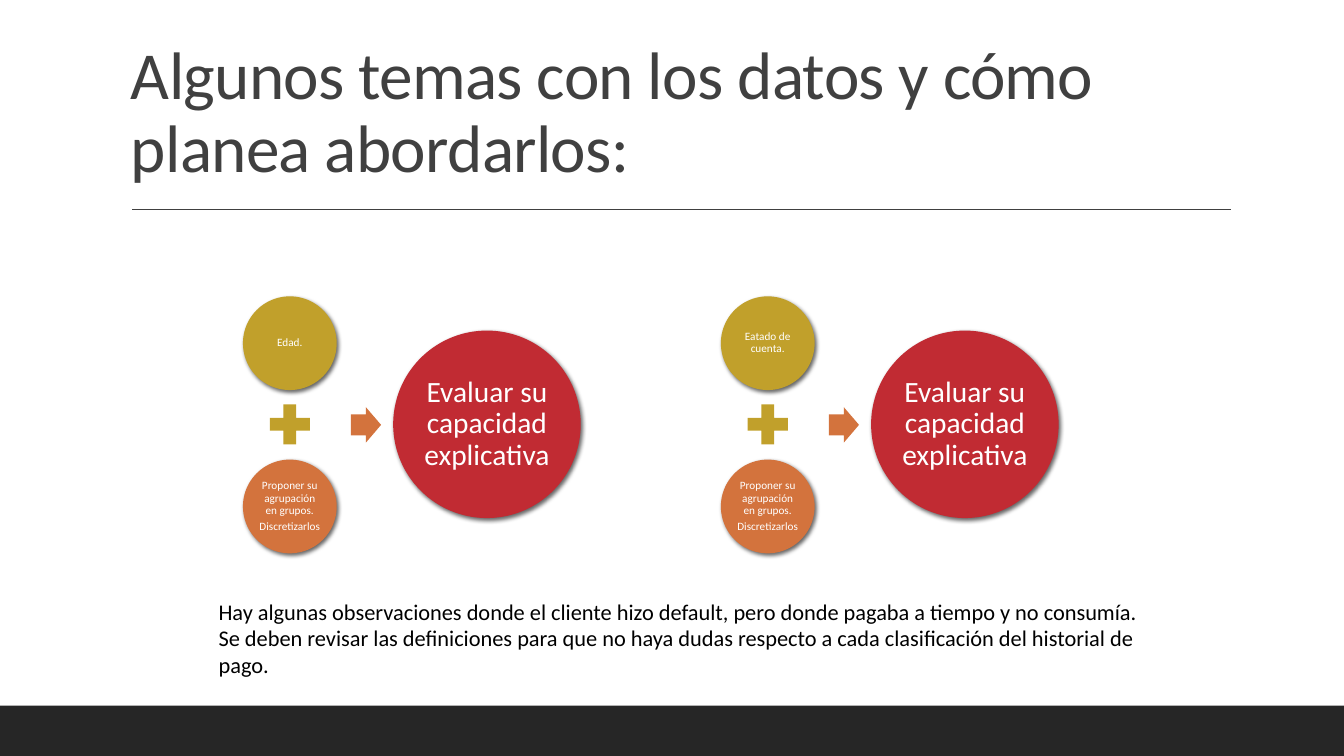
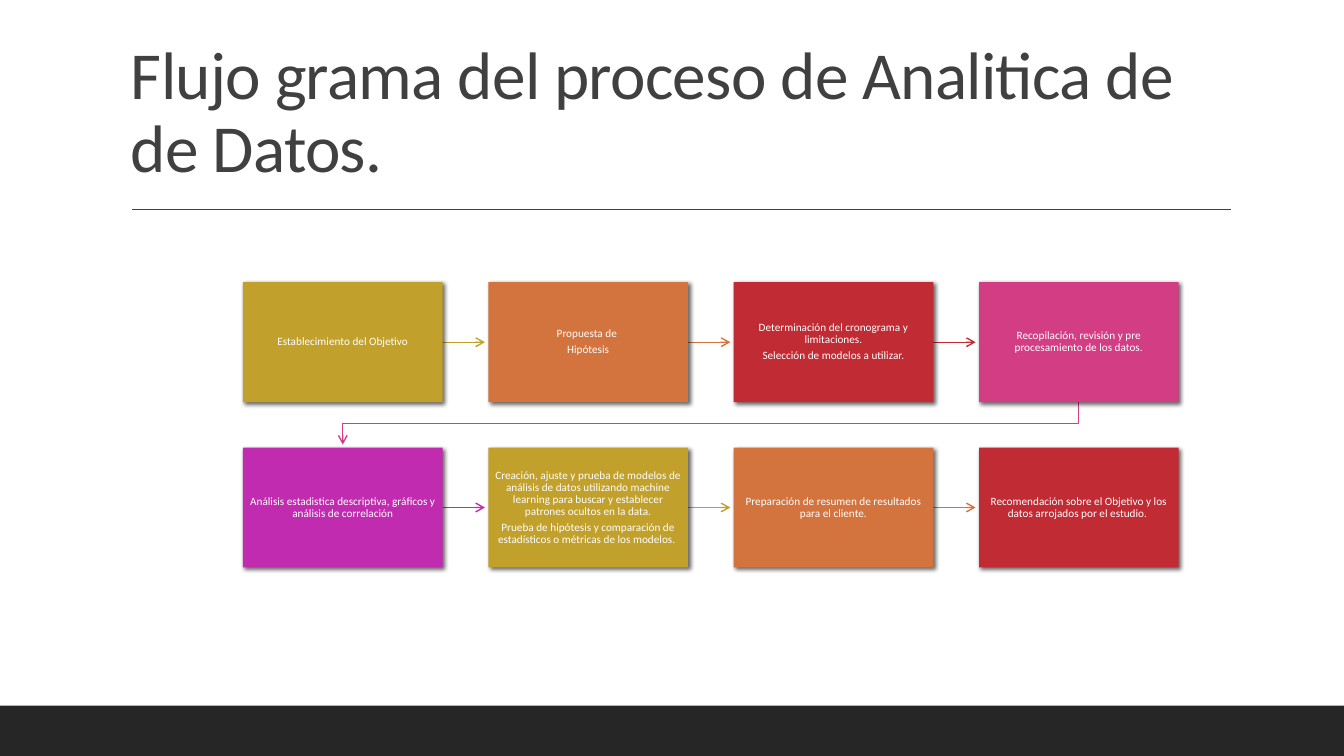
"""Build two slides: data topics and the analytics flow chart."""
import pptx
import pptx.util
import pptx.dml.color
import pptx.enum.shapes
import pptx.enum.text
import pptx.oxml.ns
import lxml.etree

HUES = {"gold": "C1A02B", "clay": "D3733D", "red": "C12B33", "pink": "D33D84",
        "plum": "C12BB0", "band": "262626", "gray": "404040", "white": "FFFFFF",
        "black": "000000"}
TITLES = ["Algunos temas con los datos y cómo planea abordarlos:",
          "Flujo grama del proceso de Analitica de de Datos. "]
TOPICS = ["Edad.", "Eatado de cuenta."]
GROUP = ["Proponer su agrupación en grupos.", "Discretizarlos"]
GOAL = ["Evaluar su capacidad explicativa"]
NOTES = ["Hay algunas observaciones donde el cliente hizo default, pero donde pagaba "
         "a tiempo y no consumía. ",
         "Se deben revisar las definiciones para que no haya dudas respecto a cada "
         "clasificación del historial de pago."]
STEPS = [
    ("gold", ["Establecimiento del Objetivo"]),
    ("clay", ["Propuesta de ", "Hipótesis"]),
    ("red", ["Determinación del cronograma y limitaciones.",
             "Selección de modelos a utilizar."]),
    ("pink", ["Recopilación, revisión y pre procesamiento de los datos."]),
    ("plum", ["Análisis estadistica descriptiva, gráficos y análisis de correlación"]),
    ("gold", ["Creación, ajuste y prueba de modelos de análisis de datos utilizando "
              "machine learning para buscar y establecer patrones ocultos en la data.",
              "Prueba de hipótesis y comparación de estadísticos o métricas de los "
              "modelos. "]),
    ("clay", ["Preparación de resumen de resultados para el cliente."]),
    ("red", ["Recomendación sobre el Objetivo y los datos arrojados por el estudio. "]),
]

Inches, Pt = pptx.util.Inches, pptx.util.Pt
KIND = pptx.enum.shapes.MSO_SHAPE
STRAIGHT = pptx.enum.shapes.MSO_CONNECTOR.STRAIGHT
ANCHOR, ALIGN = pptx.enum.text.MSO_ANCHOR, pptx.enum.text.PP_ALIGN
WIDE, HIGH = 13.33, 7.5
LABEL = {"alignment": ALIGN.CENTER, "line_spacing": 0.9}


def color(name):
    return pptx.dml.color.RGBColor.from_string(HUES[name])


def node(parent, tag, **attrs):
    return lxml.etree.SubElement(parent, pptx.oxml.ns.qn(tag), attrs)


def apply(target, values):
    for name, value in values.items():
        setattr(target, name, value)


def write(shape, lines, size, hue, form, anchor, inset=None):
    frame = shape.text_frame
    apply(frame, {"word_wrap": True, "vertical_anchor": anchor})
    if inset is not None:
        sides = ("left", "top", "right", "bottom")
        apply(frame, {f"margin_{side}": Inches(inset) for side in sides})
    frame.text = "\n".join(lines)
    for para in frame.paragraphs:
        apply(para, form)
        apply(para.font, {"size": Pt(size), "name": "Calibri"})
        for run in para.runs:
            apply(run.font, {"size": Pt(size), "name": "Calibri"})
            run.font.color.rgb = color(hue)


def draw(slide, kind, box, hue, shade=False):
    shape = slide.shapes.add_shape(kind, *map(Inches, box))
    shape.fill.solid()
    shape.fill.fore_color.rgb = color(hue)
    shape.line.fill.background()
    shape.shadow.inherit = False
    if shade:
        effect = shape._element.spPr.find(pptx.oxml.ns.qn("a:effectLst"))
        cast = node(effect, "a:outerShdw", blurRad="38100", dist="25400",
                    dir="2700000", algn="ctr", rotWithShape="0")
        node(node(cast, "a:srgbClr", val=HUES["black"]), "a:alpha", val="60000")
    return shape


def label(slide, kind, box, hue, lines, size, inset):
    shape = draw(slide, kind, box, hue, True)
    form = {**LABEL, "space_after": Pt(size * 0.35)}
    write(shape, lines, size, "white", form, ANCHOR.MIDDLE, inset)


def text(slide, box, lines, size, hue, form, anchor):
    shape = slide.shapes.add_textbox(*map(Inches, box))
    write(shape, lines, size, hue, form, anchor)
    return shape


def stroke(shape, hue, arrow=True):
    shape.line.color.rgb = color(hue)
    shape.line.width = Pt(1)
    props = shape._element.spPr
    if arrow:
        node(props.find(pptx.oxml.ns.qn("a:ln")), "a:tailEnd", type="arrow")
    node(props, "a:effectLst")


def link(slide, points, hue, arrow=True):
    spots = [(Inches(x), Inches(y)) for x, y in points]
    if len(spots) == 2:
        shape = slide.shapes.add_connector(STRAIGHT, *spots[0], *spots[1])
    else:
        pen = slide.shapes.build_freeform(*spots[0])
        pen.add_line_segments(spots[1:], close=False)
        shape = pen.convert_to_shape()
        shape.fill.background()
    stroke(shape, hue, arrow)


def start(deck, title):
    slide = deck.slides.add_slide(deck.slide_layouts[6])
    draw(slide, KIND.RECTANGLE, (0, 7, WIDE, 0.5), "band")
    link(slide, [(1.31, 2.08), (12.21, 2.08)], "gray", False)
    head = text(slide, (1.2, 0.31, 11, 1.59), [title], 48, "gray",
                {"line_spacing": 0.9}, ANCHOR.BOTTOM)
    for run in head.text_frame.paragraphs[0].runs:
        run.font._element.set("spc", "-50")
    return slide


def topics(slide):
    small, big, plus, mid = 0.93, 1.86, 0.54, 4.21
    for col, topic in enumerate(TOPICS):
        left = 2.41 + col * 4.74
        for top, hue, lines in ((2.94, "gold", [topic]), (4.56, "clay", GROUP)):
            label(slide, KIND.OVAL, (left, top, small, small), hue, lines, 8, 0.01)
        draw(slide, KIND.MATH_PLUS,
             (left + (small - plus) / 2, mid - plus / 2, plus, plus), "gold")
        arrow = draw(slide, KIND.RIGHT_ARROW, (left + 1.07, mid - 0.17, 0.3, 0.35), "clay")
        arrow.adjustments[0] = 0.6
        label(slide, KIND.OVAL, (left + 1.49, mid - big / 2, big, big), "red",
              GOAL, 21, 0.03)
    text(slide, (2.07, 5.88, 9.8, 0.91), NOTES, 16, "black", {}, ANCHOR.TOP)


def flow(slide):
    cols, wide, high, reach = 4, 1.98, 1.19, 0.42
    spots = [(2.41 + i % cols * 7.3 / 3, 2.8 + i // cols * 1.64)
             for i in range(len(STEPS))]
    for i, ((left, top), (hue, lines)) in enumerate(zip(spots, STEPS)):
        right, base = left + wide, top + high
        if i % cols < cols - 1:
            link(slide, [(right, top + high / 2), (right + reach, top + high / 2)], hue)
        elif i + 1 < len(STEPS):
            begin, end = left + wide / 2, spots[i + 1][0] + wide / 2
            turn = base + reach / 2
            link(slide, [(begin, base), (begin, turn), (end, turn),
                         (end, base + reach)], hue)
        label(slide, KIND.RECTANGLE, (left, top, wide, high), hue, lines, 8, 0.06)


deck = pptx.Presentation()
apply(deck, {"slide_width": Inches(WIDE), "slide_height": Inches(HIGH)})
for title, fill in zip(TITLES, (topics, flow)):
    fill(start(deck, title))
deck.save("out.pptx")
